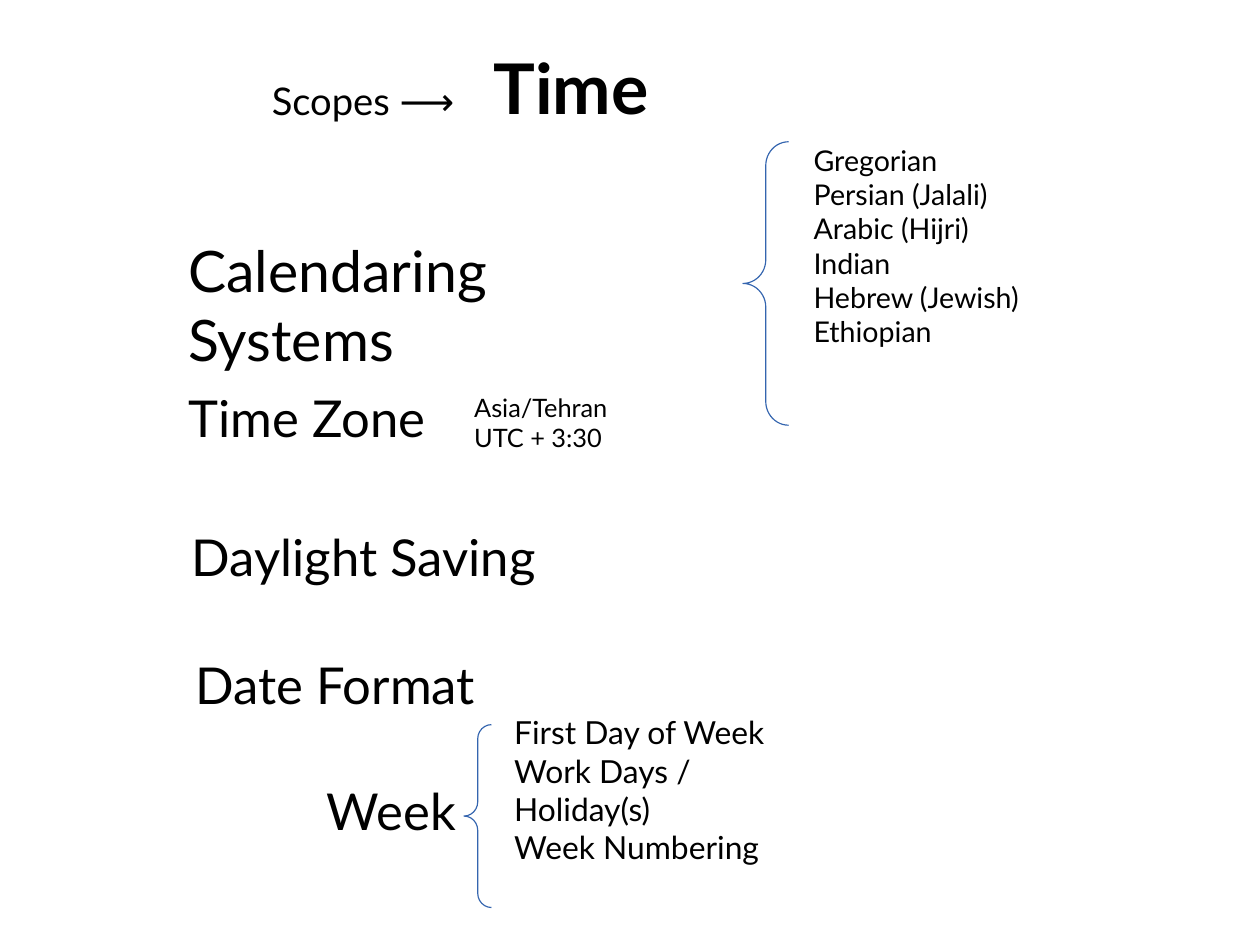
from dataclasses import dataclass

from pptx import Presentation
from pptx.dml.color import RGBColor
from pptx.enum.shapes import MSO_SHAPE as Shape
from pptx.enum.text import MSO_AUTO_SIZE as AutoSize
from pptx.slide import Slide
from pptx.util import Inches, Pt

CM_PER_INCH = 2.54
SLIDE_WIDTH = Inches(28 / CM_PER_INCH)
SLIDE_HEIGHT = Inches(21 / CM_PER_INCH)


@dataclass(frozen=True)
class Theme:
    text: RGBColor = RGBColor(0x00, 0x00, 0x00)
    brace: RGBColor = RGBColor(0x34, 0x65, 0xAF)
    font: str = "Lato"
    arrow_font: str = "Arial Narrow"
    title: int = 44
    calendars: int = 36
    topic: int = 32
    scopes: int = 24
    week_items: int = 20
    calendar_items: int = 18
    zone_items: int = 16


THEME = Theme()


@dataclass(frozen=True)
class Box:
    left: float
    top: float
    width: float
    height: float

    def lengths(self) -> tuple[Inches, ...]:
        return tuple(Inches(v) for v in (self.left, self.top, self.width, self.height))


@dataclass(frozen=True)
class Run:
    text: str
    font: str = THEME.font


@dataclass(frozen=True)
class Label:
    box: Box
    size: int
    paragraphs: list[list[Run]]
    wrap: bool = True
    bold: bool = False


def lines(*texts: str) -> list[list[Run]]:
    """Make one single-run paragraph per text."""
    return [[Run(text)] for text in texts]


LABELS = [
    Label(Box(2.28, 0.63, 2.66, 0.65), THEME.scopes,
          [[Run("Scopes "), Run("⟶", THEME.arrow_font)]]),
    Label(Box(4.22, 0.34, 1.62, 1.77), THEME.title, lines("Time"), bold=True),
    Label(Box(1.55, 2.01, 4.69, 1.46), THEME.calendars, lines("Calendaring Systems")),
    Label(Box(7.02, 1.2, 2.09, 2.56), THEME.calendar_items,
          lines("Gregorian", "Persian (Jalali)", "Arabic (Hijri)",
                "Indian", "Hebrew (Jewish)", "Ethiopian"), wrap=False),
    Label(Box(1.55, 3.33, 2.85, 0.92), THEME.topic, lines("Time Zone")),
    Label(Box(4.05, 3.38, 1.65, 0.83), THEME.zone_items,
          lines("Asia/Tehran", "UTC + 3:30")),
    Label(Box(1.58, 4.55, 3.44, 0.83), THEME.topic, lines("Daylight Saving"), wrap=False),
    Label(Box(1.61, 5.67, 2.81, 0.83), THEME.topic, lines("Date Format"), wrap=False),
    Label(Box(2.76, 6.77, 1.34, 0.83), THEME.topic, lines("Week"), wrap=False),
    Label(Box(4.4, 6.19, 2.67, 1.93), THEME.week_items,
          lines("First Day of Week", "Work Days / Holiday(s)", "Week Numbering")),
]

BRACES = [Box(6.5, 1.24, 0.4, 2.48), Box(4.06, 6.34, 0.24, 1.6)]
BRACE_CURVE = 0.52


def add_label(slide: Slide, label: Label) -> None:
    tf = slide.shapes.add_textbox(*label.box.lengths()).text_frame
    tf.word_wrap = label.wrap
    tf.auto_size = AutoSize.SHAPE_TO_FIT_TEXT
    for i, runs in enumerate(label.paragraphs):
        p = tf.add_paragraph() if i else tf.paragraphs[0]
        for run in runs:
            r = p.add_run()
            r.text = run.text
            r.font.name = run.font
            r.font.size = Pt(label.size)
            r.font.bold = label.bold
            r.font.color.rgb = THEME.text


def add_brace(slide: Slide, box: Box) -> None:
    sp = slide.shapes.add_shape(Shape.LEFT_BRACE, *box.lengths())
    sp.adjustments[0] = BRACE_CURVE
    sp.shadow.inherit = False
    sp.fill.background()
    sp.line.color.rgb = THEME.brace
    sp.line.width = Pt(0)


def main() -> None:
    prs = Presentation()
    prs.slide_width, prs.slide_height = SLIDE_WIDTH, SLIDE_HEIGHT
    slide = prs.slides.add_slide(prs.slide_layouts[6])
    for label in LABELS:
        add_label(slide, label)
    for box in BRACES:
        add_brace(slide, box)
    prs.save("out.pptx")


if __name__ == "__main__":
    main()
